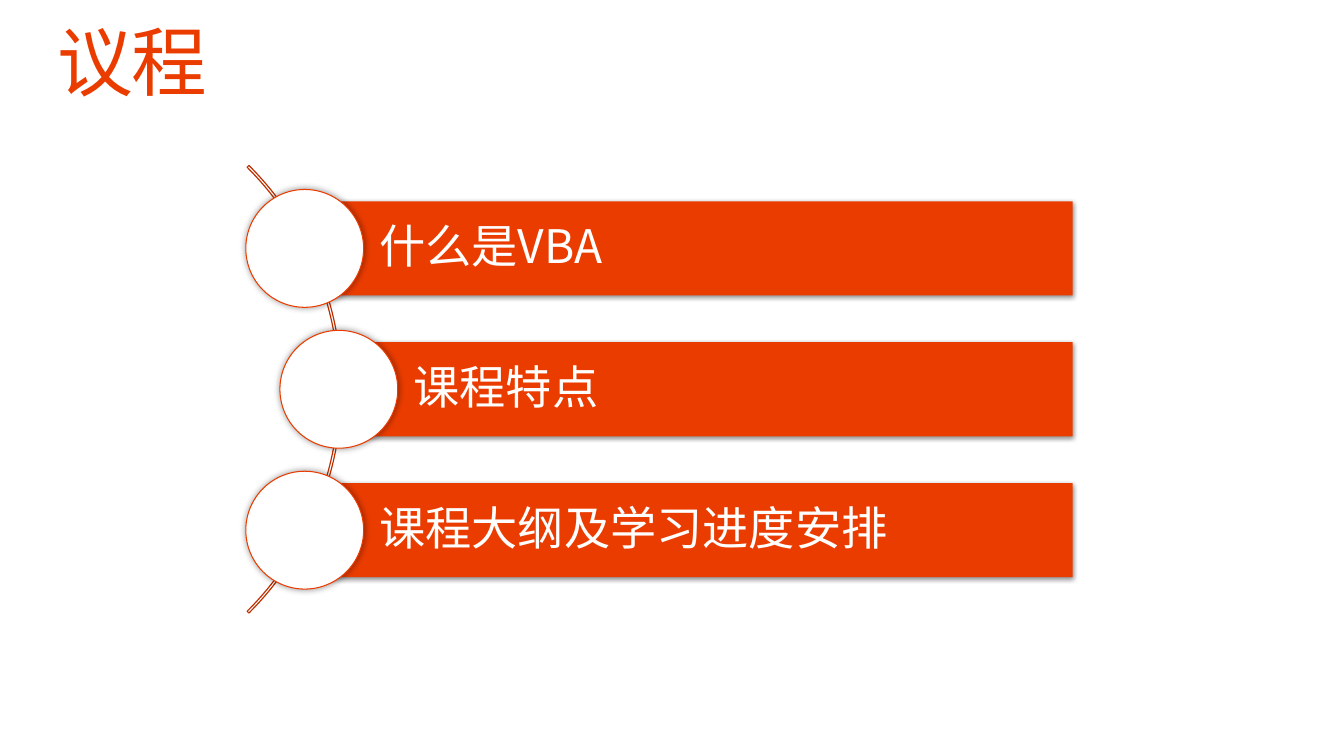
import dataclasses

import lxml.etree
import pptx
import pptx.dml.color
import pptx.enum.shapes
import pptx.enum.text
import pptx.oxml.ns
import pptx.util

Cm, Pt = pptx.util.Cm, pptx.util.Pt
Kind = pptx.enum.shapes.MSO_SHAPE
Anchor = pptx.enum.text.MSO_ANCHOR
rgb = pptx.dml.color.RGBColor.from_string
qn = pptx.oxml.ns.qn


@dataclasses.dataclass
class Theme:
    main: str = "EB3C00"
    dark: str = "BC3000"
    white: str = "FFFFFF"
    black: str = "000000"
    latin: str = "Noto Sans"
    asian: str = "Noto Sans CJK SC"
    head: int = 54
    body: int = 33


theme = Theme()


def write(shape, text, *, size, color, font, anchor, inset=(0, 0, 0, 0), track=0):
    frame = shape.text_frame
    frame.word_wrap = True
    frame.auto_size = pptx.enum.text.MSO_AUTO_SIZE.NONE
    frame.vertical_anchor = anchor
    (frame.margin_left, frame.margin_top,
     frame.margin_right, frame.margin_bottom) = [Cm(side) for side in inset]
    par = frame.paragraphs[0]
    par.alignment = pptx.enum.text.PP_ALIGN.LEFT
    par.line_spacing = 0.9
    run = par.add_run()
    run.text = text
    run.font.size = Pt(size)
    run.font.name = font
    run.font.color.rgb = rgb(color)
    props = run.font._element
    props.set("spc", str(track * 100))
    lxml.etree.SubElement(props, qn("a:ea"), typeface=theme.asian)


def draw(kind, left, top, width, height, fill=None, line=None, weight=0.75, shade=None):
    shape = slide.shapes.add_shape(kind, Cm(left), Cm(top), Cm(width), Cm(height))
    shape.shadow.inherit = False
    if fill:
        shape.fill.solid()
        shape.fill.fore_color.rgb = rgb(fill)
    else:
        shape.fill.background()
    if line:
        shape.line.color.rgb = rgb(line)
        shape.line.width = Pt(weight)
    else:
        shape.line.fill.background()
    if shade:
        alpha, blur, dist, angle = shade
        effects = shape._element.spPr.find(qn("a:effectLst"))
        outer = lxml.etree.SubElement(
            effects, qn("a:outerShdw"), blurRad=str(Pt(blur)), dist=str(Pt(dist)),
            dir=str(angle * 60000), algn="ctr", rotWithShape="0")
        tint = lxml.etree.SubElement(outer, qn("a:srgbClr"), val=theme.black)
        lxml.etree.SubElement(tint, qn("a:alpha"), val=str(alpha * 1000))
    return shape


deck = pptx.Presentation()
deck.slide_width, deck.slide_height = Cm(33.87), Cm(19.05)
slide = deck.slides.add_slide(deck.slide_layouts[5])

# Title
title = slide.shapes.title
title.left, title.top, title.width, title.height = Cm(1.45), Cm(0.64), Cm(30.96), Cm(2.08)
write(title, "议程", size=theme.head, color=theme.main, font=theme.latin,
      anchor=Anchor.TOP, track=-1)

# Arc behind the agenda
mid, span = 9.81, 15.95
arc = draw(Kind.BLOCK_ARC, -7.34, mid - span / 2, span, span, line=theme.dark, weight=0.85)
for spot, value in enumerate((189, 27, 0.004)):
    arc.adjustments[spot] = value

# Agenda rows: each bar starts at the centre of its disc
step, right, tall, disc = 3.55, 27.03, 2.37, 2.97
agenda = [("什么是VBA", 7.68), ("课程特点", 8.54), ("课程大纲及学习进度安排", 7.68)]
for row, (text, hub) in enumerate(agenda):
    level = mid + (row - 1) * step
    bar = draw(Kind.RECTANGLE, hub, level - tall / 2, right - hub, tall,
               fill=theme.main, shade=(45, 3.5, 1.1, 90))
    write(bar, text, size=theme.body, color=theme.white, font=theme.asian,
          anchor=Anchor.MIDDLE, inset=(1.88, 0.23, 0.23, 0.23))
    draw(Kind.OVAL, hub - disc / 2, level - disc / 2, disc, disc,
         fill=theme.white, line=theme.main, shade=(40, 5, 0, 0))

deck.save("out.pptx")
